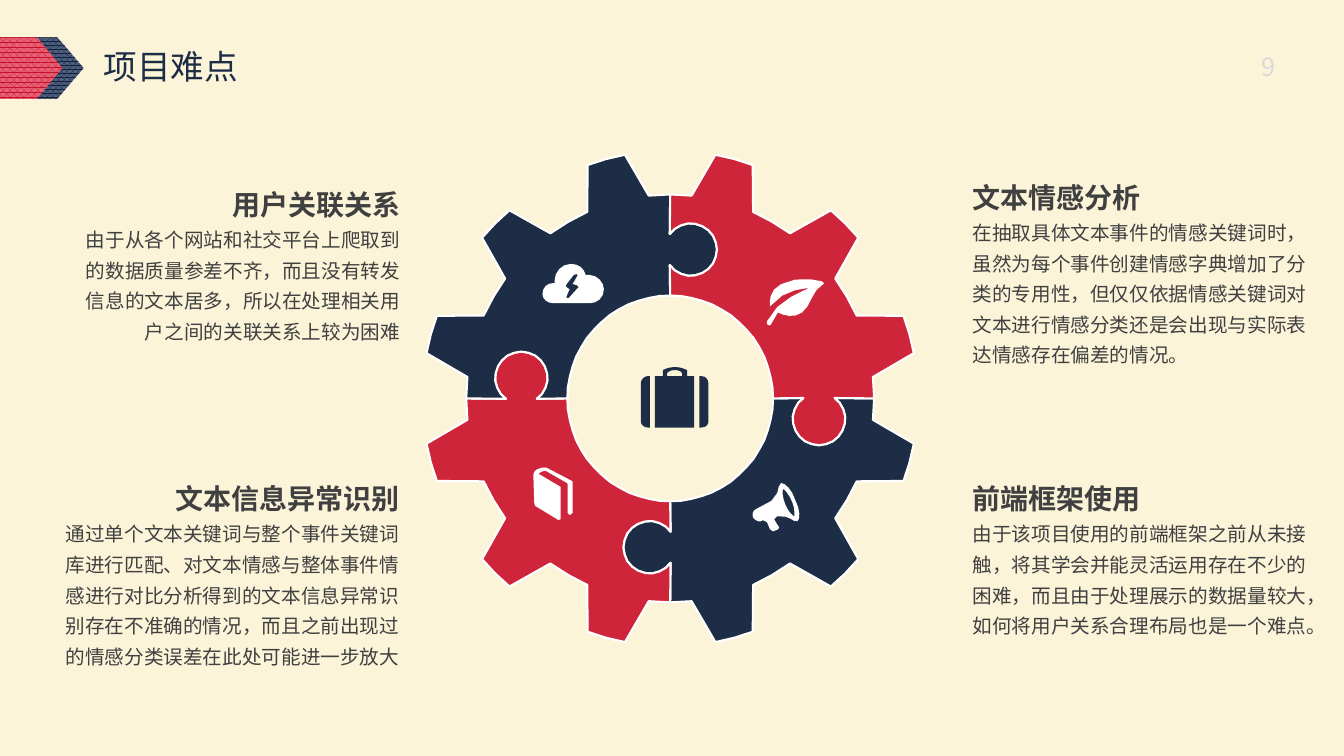
import math

import pptx
import pptx.dml.color
import pptx.enum.dml
import pptx.enum.shapes
import pptx.enum.text
import pptx.oxml
import pptx.oxml.ns
import pptx.util

Cm = pptx.util.Cm
RGB = pptx.dml.color.RGBColor.from_string
ALIGN = pptx.enum.text.PP_ALIGN
ANCHOR = pptx.enum.text.MSO_ANCHOR
PATTERN = pptx.enum.dml.MSO_PATTERN

THEME = {
    "font": "Noto Sans CJK SC",
    "cream": RGB("FBF4D9"), "navy": RGB("1D2D46"), "red": RGB("CF253B"),
    "white": RGB("FFFFFF"), "body": RGB("404040"), "pale": RGB("D9D9D9"),
    "navy_weave": (RGB("13233B"), RGB("506081")),
    "red_weave": (RGB("C61027"), RGB("E76278")),
    "title_size": 24, "heading_size": 20, "page_size": 18, "body_size": 14,
}

deck = pptx.Presentation()
deck.slide_width, deck.slide_height = Cm(33.87), Cm(19.05)
slide = deck.slides.add_slide(deck.slide_layouts[6])
slide.background.fill.solid()
slide.background.fill.fore_color.rgb = THEME["cream"]


def draw_outline(contours, left, top, unit, color, edge=None):
    """Draw closed contours of corners (x, y) and cubic curves (x1, y1, x2, y2, x, y)."""
    builder = None
    for contour in contours:
        points = []
        for step in contour:
            if len(step) == 2:
                points.append(step)
                continue
            (x0, y0), (x1, y1, x2, y2, x3, y3) = points[-1], step
            for t in (0.25, 0.5, 0.75, 1):
                weights = (1 - t) ** 3, 3 * t * (1 - t) ** 2, 3 * t * t * (1 - t), t ** 3
                points.append((sum(w * x for w, x in zip(weights, (x0, x1, x2, x3))),
                               sum(w * y for w, y in zip(weights, (y0, y1, y2, y3)))))
        fine = [(x * 100, y * 100) for x, y in points]
        if builder is None:
            builder = slide.shapes.build_freeform(*fine[0], scale=unit / 100)
        else:
            builder.move_to(*fine[0])
        builder.add_line_segments(fine[1:], close=True)
    outline = builder.convert_to_shape(left, top)
    outline.shadow.inherit = False
    outline.fill.solid()
    outline.fill.fore_color.rgb = color
    if edge is None:
        outline.line.fill.background()
    else:
        outline.line.color.rgb = edge
        outline.line.width = pptx.util.Pt(1.5)


def add_text(box, lines, align=ALIGN.LEFT, anchor=ANCHOR.TOP, spacing=1.0):
    """Add a text box; each line is (text, size, colour, bold)."""
    frame = slide.shapes.add_textbox(*map(Cm, box)).text_frame
    for key, value in {"word_wrap": True, "vertical_anchor": anchor}.items():
        setattr(frame, key, value)
    for number, (text, size, color, bold) in enumerate(lines):
        paragraph = frame.add_paragraph() if number else frame.paragraphs[0]
        paragraph.alignment, paragraph.line_spacing = align, spacing
        run = paragraph.add_run()
        run.text = text
        look = {"name": THEME["font"], "size": pptx.util.Pt(size), "bold": bold}
        for key, value in look.items():
            setattr(run.font, key, value)
        run.font.color.rgb = color
        properties = run._r.get_or_add_rPr()
        properties.set("lang", "zh-CN")
        east_asian = pptx.oxml.parse_xml(
            f'<a:ea {pptx.oxml.ns.nsdecls("a")} typeface="{THEME["font"]}"/>')
        properties.find(pptx.oxml.ns.qn("a:latin")).addnext(east_asian)


# Header
for width, point, pattern, weave in (
        (2.11, 0.43, PATTERN.PERCENT_75, "navy_weave"),
        (1.57, 0.41, PATTERN.PERCENT_70, "red_weave")):
    ribbon = slide.shapes.add_shape(pptx.enum.shapes.MSO_SHAPE.PENTAGON,
                                    Cm(0), Cm(0.94), Cm(width), Cm(1.55))
    ribbon.adjustments[0] = point
    ribbon.shadow.inherit = False
    ribbon.line.fill.background()
    ribbon.fill.patterned()
    ribbon.fill.pattern = pattern
    ribbon.fill.fore_color.rgb, ribbon.fill.back_color.rgb = THEME[weave]
add_text((2.36, 1.07, 21.9, 1.19), [("项目难点", THEME["title_size"], THEME["navy"], False)],
         anchor=ANCHOR.MIDDLE)
add_text((30.39, 1.07, 2, 1.19), [("9", THEME["page_size"], THEME["pale"], False)],
         align=ALIGN.RIGHT, anchor=ANCHOR.MIDDLE)

# Gear: four equal quarters, each a 90-degree turn of the first.
# Points are complex numbers, directions are unit vectors at half-degree steps.
center_x, center_y = 16.89, 10.04
hub, rim, tip = 2.59, 5.14, 6.24
knob_center, knob_radius = complex(3.75, 0.52), 0.66
directions = [complex(math.cos(math.radians(h / 2)), math.sin(math.radians(h / 2)))
              for h in range(720)]
knob = [knob_center + knob_radius * directions[h] for h in range(468, -109, -32)]
seam = [hub, *knob, rim]
teeth = []
for middle in (30, 90, 150):
    for radius, offsets in ((rim, (-30, -18)), (tip, (-9, 0, 9)), (rim, (18, 30))):
        teeth += [radius * directions[middle + offset] for offset in offsets]
hub_arc = [hub * directions[h] for h in range(180, 0, -12)]
quarter = seam + teeth + [point * 1j for point in reversed(seam)] + hub_arc
for turn, color in enumerate(("navy", "red", "navy", "red")):
    turned = [point * 1j ** turn for point in quarter]
    draw_outline([[(p.real, p.imag) for p in turned]], Cm(center_x), Cm(center_y),
                 Cm(1), THEME[color], THEME["white"])

# Icons, drawn on a grid of a hundredth of an inch
suitcase = [
    [(58, 9), (60, 9), (65, 9, 67, 13, 67, 16), (67, 54), (67, 57, 65, 60, 60, 60), (58, 60)],
    [(9, 9), (7, 9), (3, 9, 0, 13, 0, 16), (0, 54), (0, 57, 3, 60, 7, 60), (9, 60)],
    [(46, 3), (43, 2, 40, 0, 34, 0), (28, 0, 24, 2, 22, 3), (22, 9), (14, 9), (14, 60),
     (53, 60), (53, 9), (46, 9)],
    [(41, 9), (26, 9), (26, 6), (28, 4, 30, 3, 34, 3), (37, 3, 40, 4, 41, 6)],
]
leaf = [[(15, 10), (3, 16, 4, 27, 4, 32), (19, 13, 43, 14, 43, 14), (43, 14, 10, 25, 1, 47),
         (0, 50, 4, 52, 5, 50), (12, 38), (18, 41, 28, 44, 36, 38),
         (45, 32, 45, 16, 58, 9), (62, 7, 31, 0, 15, 10)]]
storm_cloud = [
    [(47, 11), (43, 11), (41, 4, 36, 0, 28, 0), (19, 0, 12, 8, 12, 17), (12, 19), (11, 19),
     (5, 19, 0, 23, 0, 30), (0, 35, 5, 39, 11, 39), (47, 39), (54, 39, 61, 34, 61, 25),
     (61, 18, 54, 11, 47, 11)],
    [(35, 24), (26, 34), (24, 34), (24, 32), (27, 25), (25, 24), (23, 22), (24, 20),
     (31, 11), (34, 10), (35, 11), (34, 13), (30, 20), (34, 21), (36, 23)],
]
megaphone = [
    [(43, 17), (40, 7, 33, 0, 29, 0), (23, 3, 33, 15, 4, 26), (1, 27, 0, 31, 1, 34),
     (2, 36, 6, 39, 9, 38), (11, 37), (15, 39), (18, 46), (21, 48), (26, 46), (27, 44),
     (25, 41), (22, 36), (25, 33), (39, 32, 40, 39, 45, 38), (48, 37, 48, 26, 43, 17)],
    [(42, 33), (41, 33, 36, 29, 33, 21), (30, 14, 30, 6, 31, 6), (32, 6, 37, 11, 40, 19),
     (43, 26, 42, 32, 42, 33)],
]
book = [[(38, 14), (13, 1), (10, 0, 3, 2, 1, 5), (0, 8), (1, 37), (2, 39), (25, 53), (27, 52),
         (27, 20), (5, 7), (8, 5), (12, 4), (33, 16), (34, 17), (34, 46),
         (36, 48), (39, 46), (39, 15)]]
for icon, left, top, color in (
        (suitcase, 16.15, 9.25, "navy"), (leaf, 19.3, 6.91, "white"),
        (storm_cloud, 13.67, 6.65, "white"), (megaphone, 18.95, 12.17, "white"),
        (book, 13.44, 11.76, "white")):
    draw_outline(icon, Cm(left), Cm(top), Cm(2.54) / 100, THEME[color])

# Difficulties around the gear
difficulties = [
    ((1.7, 4.34, 8.64, 4.47), ALIGN.RIGHT, "用户关联关系",
     "由于从各个网站和社交平台上爬取到的数据质量参差不齐，而且没有转发信息的文本居多，"
     "所以在处理相关用户之间的关联关系上较为困难"),
    ((24.26, 4.17, 9.14, 5.26), ALIGN.LEFT, "文本情感分析",
     "在抽取具体文本事件的情感关键词时，虽然为每个事件创建情感字典增加了分类的专用性，"
     "但仅仅依据情感关键词对文本进行情感分类还是会出现与实际表达情感存在偏差的情况。"),
    ((1.22, 11.76, 9.1, 5.26), ALIGN.RIGHT, "文本信息异常识别",
     "通过单个文本关键词与整个事件关键词库进行匹配、对文本情感与整体事件情感进行对比分析"
     "得到的文本信息异常识别存在不准确的情况，而且之前出现过的情感分类误差在此处可能进一步放大"),
    ((24.26, 11.76, 9.35, 4.47), ALIGN.LEFT, "前端框架使用",
     "由于该项目使用的前端框架之前从未接触，将其学会并能灵活运用存在不少的困难，"
     "而且由于处理展示的数据量较大，如何将用户关系合理布局也是一个难点。"),
]
for box, align, heading, detail in difficulties:
    add_text(box, [(heading, THEME["heading_size"], THEME["body"], True),
                   (detail, THEME["body_size"], THEME["body"], False)],
             align=align, spacing=1.3)

deck.save("out.pptx")
